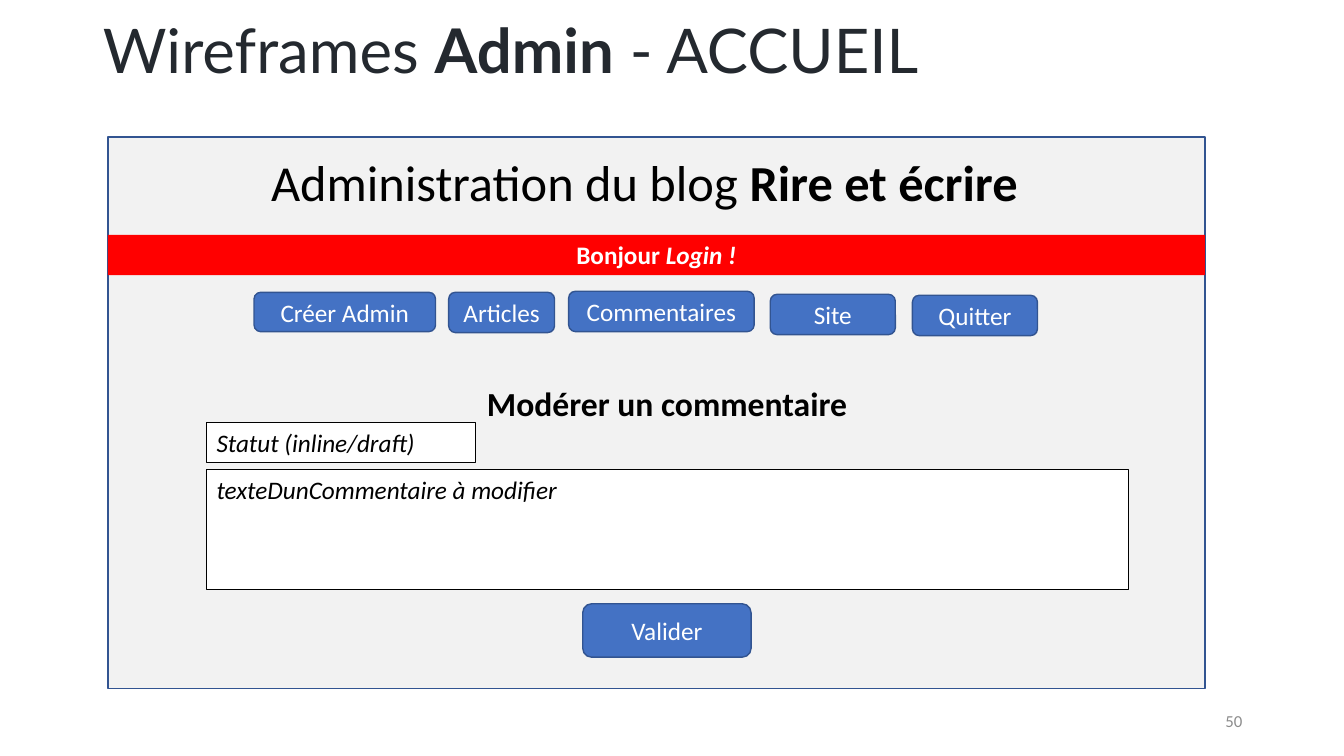
from pptx import Presentation, util as u
from pptx.dml.color import RGBColor
from pptx.enum import shapes, text

PX = u.Inches(1) // 100
SLIDE_SIZE = (1333, 750)
BLUE, NAVY, BLACK, WHITE = "4472C4", "325491", "000000", "FFFFFF"
ALIGN, ANCHOR = text.PP_ALIGN, text.MSO_ANCHOR

TITLE = [("Wireframes ", ""), ("Admin", "b"), (" - ACCUEIL", "")]
TITLE_BOX = (92, 14, 1150, 79)
PAGE_BOX = (107, 136, 1088, 547)
BANNER_BOX = (107, 233, 1088, 40)

LABELS = [
    ((259, 145, 781, 71), [("Administration du blog ", ""), ("Rire et écrire", "b")],
     36, BLACK, ALIGN.LEFT, ANCHOR.TOP),
    ((387, 375, 549, 50), [("Modérer un commentaire", "b")],
     24, BLACK, ALIGN.CENTER, ANCHOR.TOP),
    ((942, 695, 300, 40), [("50", "")], 12, "8C8C8C", ALIGN.RIGHT, ANCHOR.MIDDLE),
]
FIELDS = [
    ((205, 466, 914, 119), "texteDunCommentaire à modifier"),
    ((205, 419, 267, 40), "Statut (inline/draft)"),
]
BUTTONS = [
    ((252, 290, 180, 39), "Créer Admin"),
    ((445, 290, 105, 40), "Articles"),
    ((564, 289, 184, 40), "Commentaires"),
    ((764, 292, 124, 40), "Site"),
    ((905, 293, 124, 40), "Quitter"),
    ((578, 599, 167, 53), "Valider"),
]


def color(value):
    return RGBColor.from_string(value)


def emu(box):
    return [length * PX for length in box]


def write(shape, pieces, size, ink, align=ALIGN.CENTER, anchor=ANCHOR.MIDDLE, font="Calibri"):
    frame = shape.text_frame
    frame.word_wrap = True
    frame.auto_size = text.MSO_AUTO_SIZE.NONE
    frame.vertical_anchor = anchor
    paragraph = frame.paragraphs[0]
    paragraph.alignment = align
    for words, style in pieces:
        run = paragraph.add_run()
        run.text = words
        run.font.name = font
        run.font.size = u.Pt(size)
        run.font.bold = "b" in style
        run.font.italic = "i" in style
        run.font.color.rgb = color(ink)


def add_panel(slide, box, fill, line=None, width=1, kind=shapes.MSO_SHAPE.RECTANGLE):
    shape = slide.shapes.add_shape(kind, *emu(box))
    shape.shadow.inherit = False
    shape.fill.solid()
    shape.fill.fore_color.rgb = color(fill)
    if line:
        shape.line.color.rgb = color(line)
        shape.line.width = u.Pt(width)
    else:
        shape.line.fill.background()
    return shape


def main():
    """Build the admin home wireframe slide."""
    presentation = Presentation()
    presentation.slide_width, presentation.slide_height = emu(SLIDE_SIZE)
    slide = presentation.slides.add_slide(presentation.slide_layouts[5])

    title = slide.shapes.title
    title.left, title.top, title.width, title.height = emu(TITLE_BOX)
    write(title, TITLE, 44, "24292F", ALIGN.LEFT, font="Lato")
    title.text_frame.paragraphs[0].line_spacing = 0.9

    add_panel(slide, PAGE_BOX, "F2F2F2", NAVY)
    banner = add_panel(slide, BANNER_BOX, "FF0000")
    write(banner, [("Bonjour ", "b"), ("Login !", "bi")], 18, WHITE, anchor=ANCHOR.TOP)

    for box, *content in LABELS:
        write(slide.shapes.add_textbox(*emu(box)), *content)
    for box, hint in FIELDS:
        field = add_panel(slide, box, WHITE, BLACK, 0.75)
        write(field, [(hint, "i")], 18, BLACK, ALIGN.LEFT, ANCHOR.TOP)
    for box, caption in BUTTONS:
        button = add_panel(slide, box, BLUE, NAVY, kind=shapes.MSO_SHAPE.ROUNDED_RECTANGLE)
        write(button, [(caption, "")], 18, WHITE)

    presentation.save("out.pptx")


if __name__ == "__main__":
    main()
